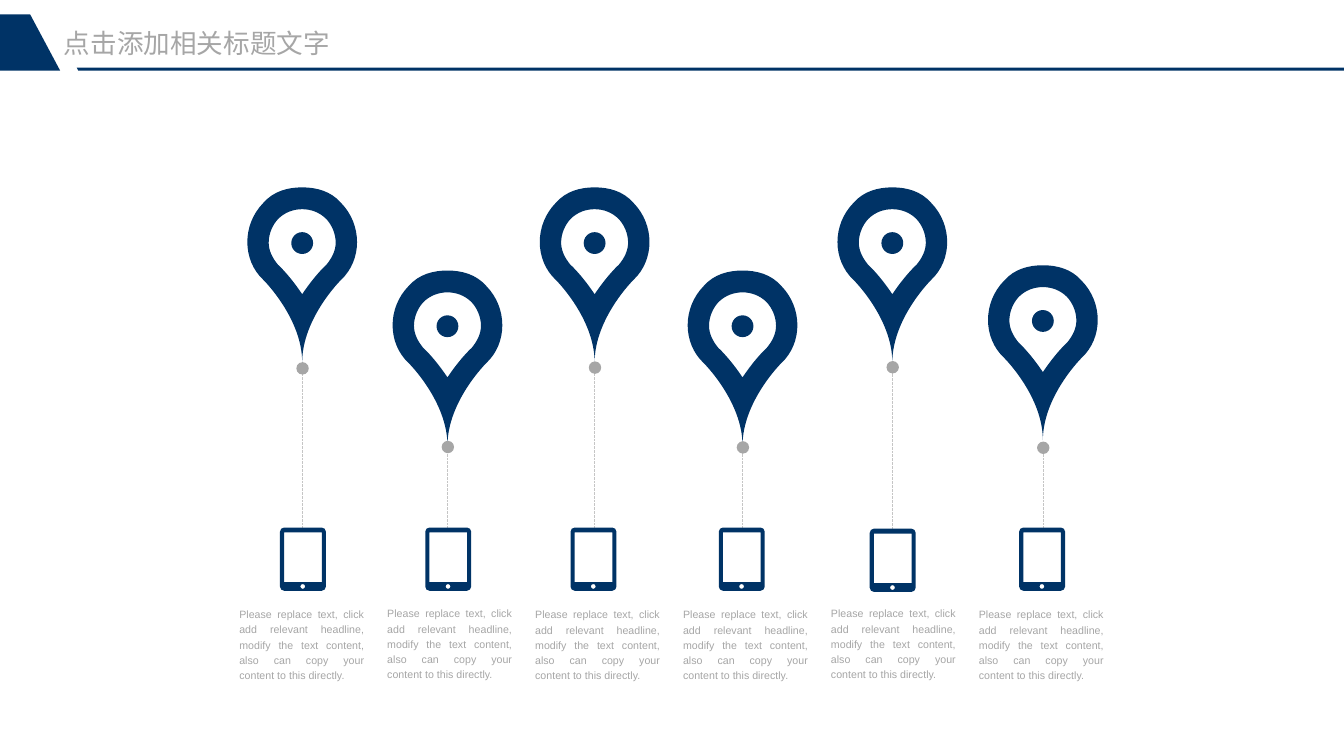
from math import cos, radians, sin

from lxml import etree
from pptx import Presentation
from pptx import util as u
from pptx.dml.color import RGBColor
from pptx.enum import dml, shapes, text
from pptx.oxml.ns import qn

NAVY = RGBColor(0x00, 0x33, 0x66)
GREY = RGBColor(0xA6, 0xA6, 0xA6)
PALE = RGBColor(0xC5, 0xC5, 0xC5)

HEADLINE = "点击添加相关标题文字"
CAPTION = ("Please replace text, click add relevant headline, modify the text "
           "content, also can copy your content to this directly.")

PIN_OUTER = [(0, 0),
             (0.38, 0), (0.76, 0.1), (1.03, 0.41),
             (1.6, 0.99), (1.6, 1.93), (1.03, 2.46),
             (1.03, 2.46), (0, 3.48), (0, 4.65)]
PIN_INNER = [(0, 0.58),
             (0.23, 0.58), (0.46, 0.66), (0.64, 0.84),
             (0.78, 0.99), (0.89, 1.22), (0.89, 1.47),
             (0.89, 1.68), (0.79, 1.88), (0.64, 2.06),
             (0.58, 2.11), (0.3, 2.39), (0, 2.84)]


def write(frame, words, size=8, color=GREY, font="Arial",
          align=text.PP_ALIGN.LEFT, spacing=1.0, anchor=text.MSO_ANCHOR.TOP):
    frame.word_wrap = True
    frame.auto_size = text.MSO_AUTO_SIZE.NONE
    frame.vertical_anchor = anchor
    frame.margin_left = frame.margin_right = 0
    frame.margin_top = frame.margin_bottom = 0
    paragraph = frame.paragraphs[0]
    paragraph.alignment = align
    paragraph.line_spacing = spacing
    run = paragraph.add_run()
    run.text = words
    run.font.size = u.Pt(size)
    run.font.name = font
    run.font.color.rgb = color


def mirrored(half):
    return half + [(-x, y) for x, y in half[-2::-1]]


def rectangle(left, top, width, height):
    return [(left, top), (left + width, top),
            (left + width, top + height), (left, top + height)]


def rounded(left, top, width, height, radius):
    inset = rectangle(left + radius, top + radius,
                      width - 2 * radius, height - 2 * radius)
    return [(x + radius * cos(radians(angle)), y + radius * sin(radians(angle)))
            for corner, (x, y) in enumerate(inset)
            for angle in (180 + 90 * corner + turn for turn in (0, 45, 90))]


def bend(shape):
    segments = list(shape._element.iter(qn("a:lnTo")))
    for i in range(0, len(segments), 3):
        arc = etree.Element(qn("a:cubicBezTo"))
        segments[i].addprevious(arc)
        for segment in segments[i:i + 3]:
            arc.append(segment[0])
            segment.getparent().remove(segment)


class Board:
    def __init__(self, slide, fill=NAVY):
        self.slide = slide
        self.fill = fill

    def paint(self, shape, color=None):
        shape.fill.solid()
        shape.fill.fore_color.rgb = color or self.fill
        shape.line.fill.background()
        shape.shadow.inherit = False
        return shape

    def disc(self, center, middle, size, color=None):
        self.paint(self.slide.shapes.add_shape(
            shapes.MSO_SHAPE.OVAL, u.Cm(center - size / 2),
            u.Cm(middle - size / 2), u.Cm(size), u.Cm(size)), color)

    def outline(self, *contours, left=0, top=0):
        builder = None
        for contour in contours:
            start, *rest = [(u.Cm(x), u.Cm(y)) for x, y in contour]
            if builder is None:
                builder = self.slide.shapes.build_freeform(*start)
            else:
                builder.move_to(*start)
            builder.add_line_segments(rest, close=True)
        return self.paint(builder.convert_to_shape(u.Cm(left), u.Cm(top)))

    def dotted(self, x, top, bottom):
        stem = self.slide.shapes.add_connector(
            shapes.MSO_CONNECTOR.STRAIGHT,
            u.Cm(x), u.Cm(bottom), u.Cm(x), u.Cm(top))
        stem.line.color.rgb = PALE
        stem.line.width = u.Pt(0.5)
        stem.line.dash_style = dml.MSO_LINE.ROUND_DOT
        etree.SubElement(stem._element.spPr, qn("a:effectLst"))

    def title(self, words, left, top, width, height):
        heading = self.slide.shapes.title
        heading.left, heading.top = u.Cm(left), u.Cm(top)
        heading.width, heading.height = u.Cm(width), u.Cm(height)
        write(heading.text_frame, words, size=20, anchor=text.MSO_ANCHOR.MIDDLE)

    def caption(self, words, left, top, width, height):
        box = self.slide.shapes.add_textbox(
            u.Cm(left), u.Cm(top), u.Cm(width), u.Cm(height))
        write(box.text_frame, words, align=text.PP_ALIGN.JUSTIFY, spacing=1.2)

    def pin(self, center, top):
        bend(self.outline(mirrored(PIN_OUTER), mirrored(PIN_INNER),
                          left=center, top=top))
        self.disc(center, top + 1.48, 0.58)

    def tablet(self, left, top):
        self.outline(rounded(0, 0, 1.22, 1.68, 0.11),
                     rectangle(0.11, 0.13, 1, 1.32),
                     rounded(0.54, 1.5, 0.13, 0.13, 0.065),
                     left=left, top=top)


deck = Presentation()
deck.slide_width, deck.slide_height = u.Cm(35.71), u.Cm(20.09)
board = Board(deck.slides.add_slide(deck.slide_layouts[5]))

board.outline([(2.04, 1.8), (35.71, 1.8), (35.71, 1.88), (2.08, 1.88)])
board.outline([(0, 0.38), (0.8, 0.38), (1.6, 1.88), (0, 1.88)])
board.title(HEADLINE, 1.7, 0.71, 8.51, 0.86)

columns = [
    (8.03, 4.98, 9.79, 7.44, 14.02, 16.09),
    (11.89, 7.19, 11.88, 11.3, 14.02, 16.07),
    (15.8, 4.98, 9.77, 15.16, 14.02, 16.1),
    (19.73, 7.19, 11.89, 19.1, 14.02, 16.1),
    (23.71, 4.98, 9.76, 23.11, 14.05, 16.07),
    (27.71, 7.05, 11.9, 27.08, 14.02, 16.1),
]
for index, column in enumerate(columns):
    center, pin_top, joint, tablet_left, tablet_top, caption_top = column
    board.pin(center, pin_top)
    board.dotted(center, joint + 0.14, tablet_top)
    board.disc(center + 0.01, joint, 0.33, GREY)
    board.tablet(tablet_left, tablet_top)
    board.caption(CAPTION, 6.36 + 3.93 * index, caption_top, 3.32, 2)

deck.save("out.pptx")
